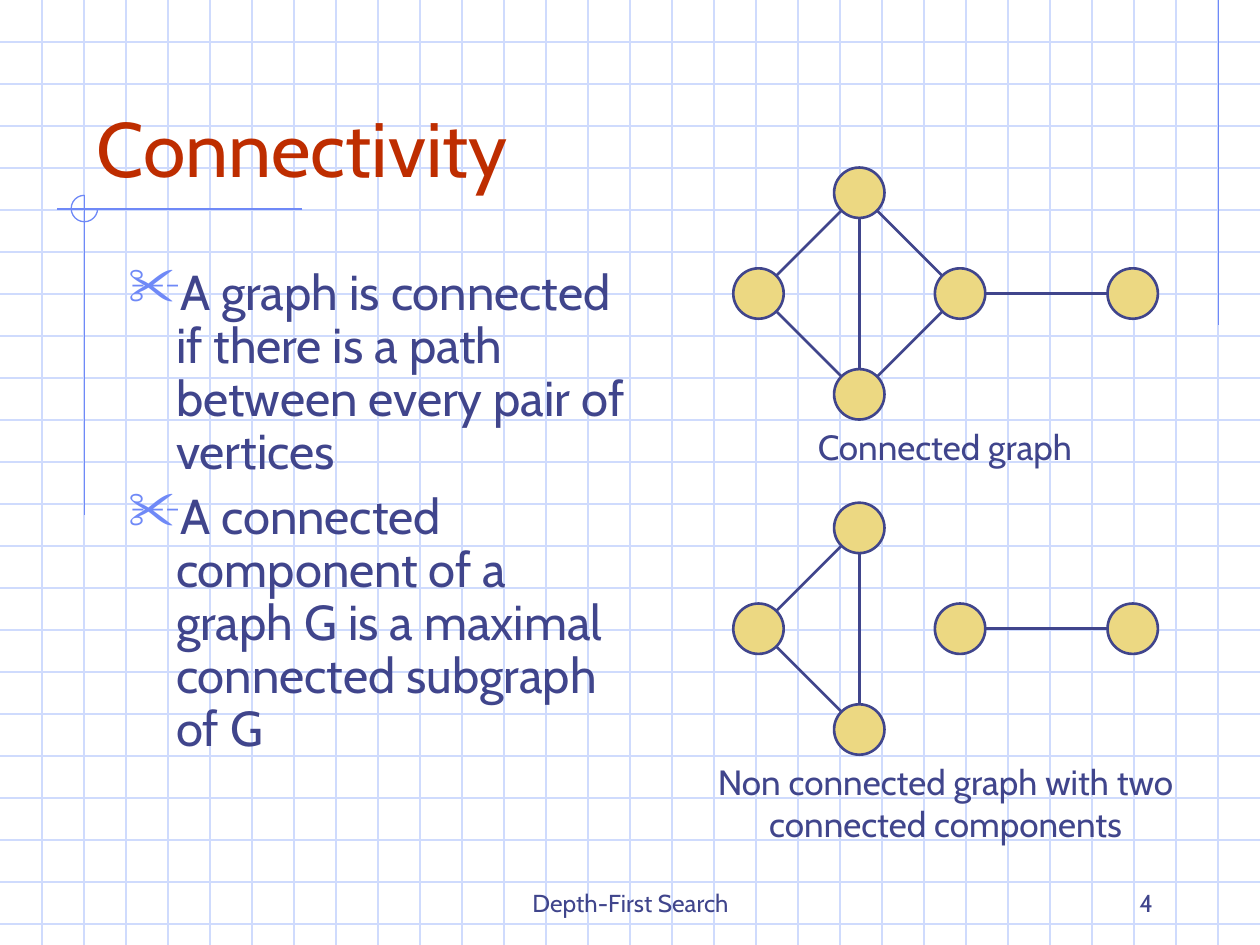
from math import hypot

from lxml.etree import SubElement
from pptx import Presentation
from pptx.dml.color import RGBColor
from pptx.enum.shapes import MSO_CONNECTOR, MSO_SHAPE
from pptx.enum.text import MSO_ANCHOR, MSO_AUTO_SIZE, PP_ALIGN
from pptx.oxml.ns import qn
from pptx.util import Inches, Pt

WIDTH, HEIGHT = 10, 7.5
GRID_STEP = 1 / 3
VERTEX_SIZE = 0.4
COLORS = {
    "grid": "CFDBFD",
    "accent": "6F89F7",
    "ink": "40458C",
    "title": "BE2D00",
    "vertex": "ECD882",
}

# Vertex centres, relative to the leftmost vertex of a graph
VERTICES = {
    "left": (0, 0),
    "top": (0.8, -0.8),
    "bottom": (0.8, 0.8),
    "right": (1.6, 0),
    "far": (2.97, 0),
}
TRIANGLE = [("top", "left"), ("bottom", "left"), ("top", "bottom")]
CONNECTED_EDGES = TRIANGLE + [("bottom", "right"), ("top", "right"), ("right", "far")]
SPLIT_EDGES = TRIANGLE + [("right", "far")]

STATEMENTS = [
    "A graph is connected if there is a path between every pair of vertices",
    "A connected component of a graph G is a maximal connected subgraph of G",
]


def color(name):
    return RGBColor.from_string(COLORS[name])


def apply_format(target, values):
    for attribute, value in values.items():
        setattr(target, attribute, value)


def add_line(shapes, start, end, stroke, width=0.75):
    line = shapes.add_connector(
        MSO_CONNECTOR.STRAIGHT, *(Inches(value) for value in (*start, *end))
    )
    line.line.color.rgb = color(stroke)
    line.line.width = Pt(width)
    SubElement(line._element.spPr, qn("a:effectLst"))


def add_round(shapes, preset, center, size, stroke, width, fill=None):
    left, top = (value - size / 2 for value in center)
    outline = shapes.add_shape(
        preset, Inches(left), Inches(top), Inches(size), Inches(size)
    )
    outline.shadow.inherit = False
    outline.line.color.rgb = color(stroke)
    outline.line.width = Pt(width)
    if fill:
        outline.fill.solid()
        outline.fill.fore_color.rgb = color(fill)
    else:
        outline.fill.background()
    return outline


def add_text(slide, box, paragraphs, size, ink="ink", frame_format=None,
             paragraph_format=None):
    frame = slide.shapes.add_textbox(*(Inches(value) for value in box)).text_frame
    apply_format(frame, {"word_wrap": True, **(frame_format or {})})
    frame.text = "\n".join(paragraphs)
    for paragraph in frame.paragraphs:
        apply_format(paragraph, paragraph_format or {})
        font = paragraph.runs[0].font
        apply_format(font, {"name": "Cabin", "size": Pt(size)})
        font.color.rgb = color(ink)
    return frame


def add_bullet(paragraph):
    properties = paragraph._p.get_or_add_pPr()
    properties.set("marL", str(Inches(0.38)))
    properties.set("indent", str(-Inches(0.38)))
    bullet_color = SubElement(properties, qn("a:buClr"))
    SubElement(bullet_color, qn("a:srgbClr"), val=COLORS["accent"])
    SubElement(properties, qn("a:buSzPct"), val="110000")
    SubElement(properties, qn("a:buChar"), char="✂")


def add_backdrop(slide):
    # Graph paper
    paper = slide.shapes.add_group_shape().shapes
    for row in range(1, 23):
        y = row * GRID_STEP
        add_line(paper, (0, y), (WIDTH, y), "grid")
    for column in range(1, 30):
        x = column * GRID_STEP
        add_line(paper, (x, 0), (x, HEIGHT), "grid")

    # Rules at the right edge and beside the title, with their arc
    rules = slide.shapes.add_group_shape().shapes
    add_line(rules, (9.67, 0), (9.67, 2.58), "accent")
    add_line(rules, (2.4, 1.66), (0.45, 1.66), "accent")
    add_line(rules, (0.67, 1.55), (0.67, 4.09), "accent")
    arc = add_round(rules, MSO_SHAPE.ARC, (0.67, 1.655), 0.21, "accent", 0.75)
    arc.adjustments[0] = 0
    arc.adjustments[1] = 162  # 270 degrees, in units of 100000/60000 degree


def add_graph(slide, origin, edges):
    graph = slide.shapes.add_group_shape().shapes
    centers = {
        name: (origin[0] + dx, origin[1] + dy) for name, (dx, dy) in VERTICES.items()
    }
    for center in centers.values():
        add_round(graph, MSO_SHAPE.OVAL, center, VERTEX_SIZE, "ink", 1.5, "vertex")
    # Each edge runs from rim to rim
    for first, second in edges:
        (x1, y1), (x2, y2) = centers[first], centers[second]
        share = VERTEX_SIZE / 2 / hypot(x2 - x1, y2 - y1)
        dx, dy = (x2 - x1) * share, (y2 - y1) * share
        add_line(graph, (x1 + dx, y1 + dy), (x2 - dx, y2 - dy), "ink", 1.5)


def add_caption(slide, box, caption):
    add_text(slide, box, [caption], 20,
             frame_format={"auto_size": MSO_AUTO_SIZE.SHAPE_TO_FIT_TEXT},
             paragraph_format={"alignment": PP_ALIGN.CENTER})


def main():
    presentation = Presentation()
    apply_format(presentation,
                 {"slide_width": Inches(WIDTH), "slide_height": Inches(HEIGHT)})
    slide = presentation.slides.add_slide(presentation.slide_layouts[6])
    add_backdrop(slide)

    # Footer and slide number
    bottom = {"vertical_anchor": MSO_ANCHOR.BOTTOM}
    add_text(slide, (3.42, 6.83, 3.17, 0.5), ["Depth-First Search"], 14,
             frame_format=bottom, paragraph_format={"alignment": PP_ALIGN.CENTER})
    add_text(slide, (7.17, 6.83, 2.08, 0.5), ["4"], 14,
             frame_format=bottom, paragraph_format={"alignment": PP_ALIGN.RIGHT})

    # Title and statements
    add_text(slide, (0.67, 0.33, 8.5, 1.25), ["Connectivity"], 44, "title", bottom)
    body = add_text(slide, (0.92, 2.08, 4.17, 4.5), STATEMENTS, 28,
                    paragraph_format={"line_spacing": 0.9, "space_before": Pt(7)})
    for statement in body.paragraphs:
        add_bullet(statement)

    # Example graphs
    add_graph(slide, (6.02, 2.33), CONNECTED_EDGES)
    add_caption(slide, (5.94, 3.33, 3.12, 0.44), "Connected graph")
    add_graph(slide, (6.02, 4.99), SPLIT_EDGES)
    add_caption(slide, (5.51, 5.99, 3.99, 0.77),
                "Non connected graph with two connected components")

    presentation.save("out.pptx")


if __name__ == "__main__":
    main()
